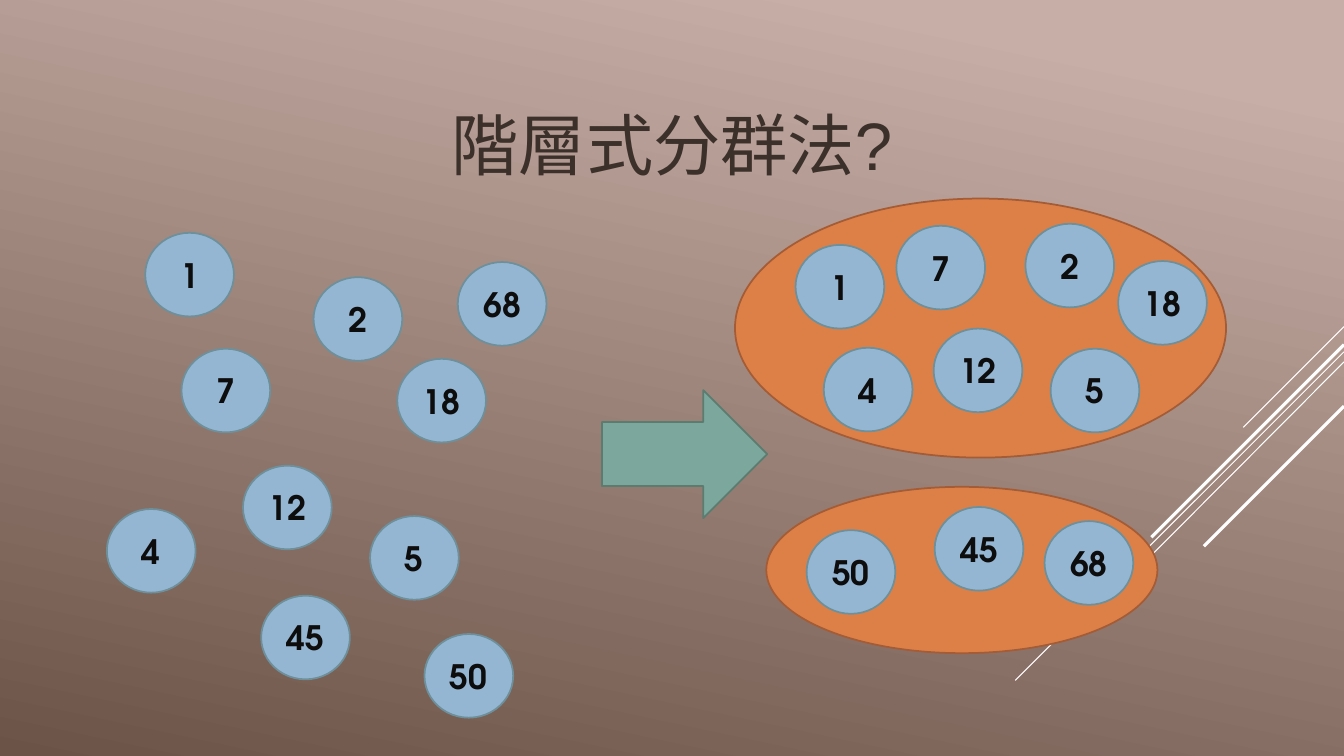
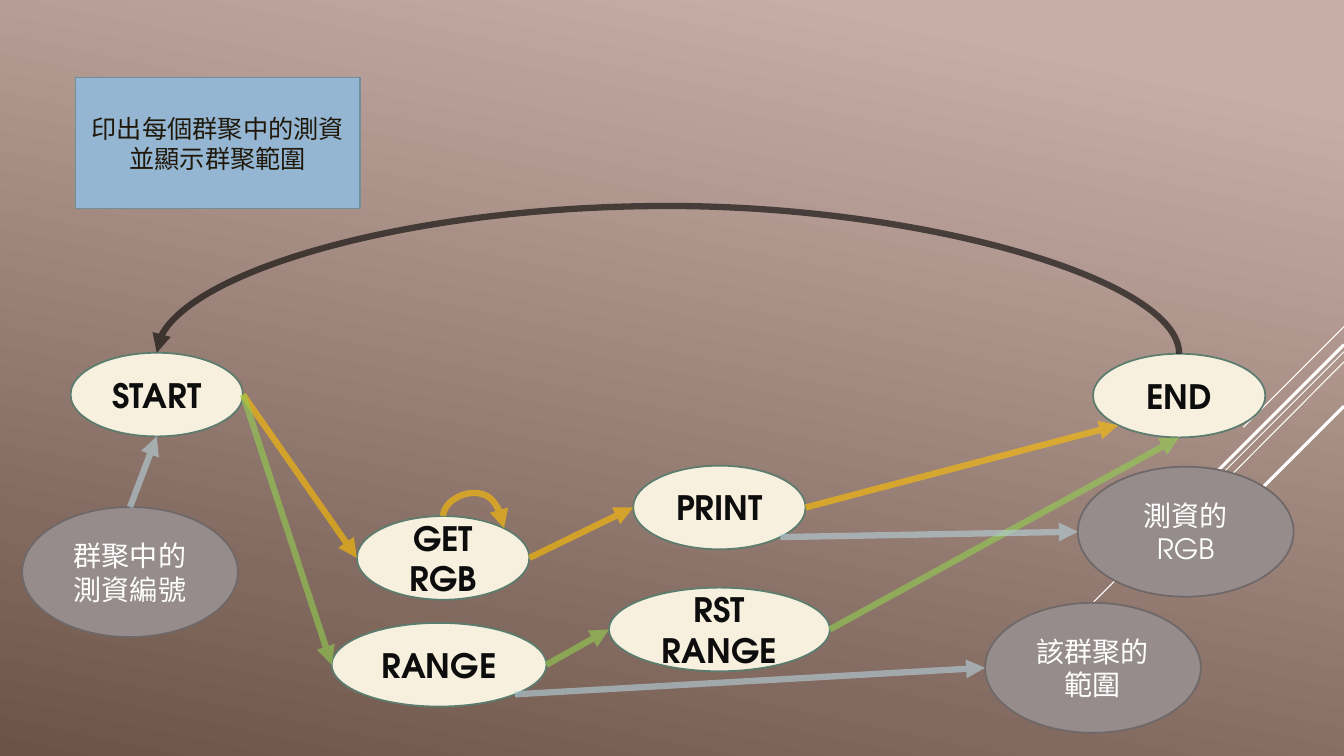
"""Build two slides on hierarchical clustering."""
from dataclasses import dataclass
from math import cos, radians, sin

from lxml import etree
from pptx import Presentation
from pptx.dml.color import RGBColor
from pptx.enum.shapes import MSO_CONNECTOR, MSO_SHAPE
from pptx.enum.text import MSO_ANCHOR, MSO_AUTO_SIZE, PP_ALIGN
from pptx.oxml.ns import qn
from pptx.presentation import Presentation as Deck
from pptx.shapes.autoshape import Shape
from pptx.shapes.connector import Connector
from pptx.slide import Slide
from pptx.util import Inches, Pt

OVAL, RECTANGLE, RIGHT_ARROW = MSO_SHAPE.OVAL, MSO_SHAPE.RECTANGLE, MSO_SHAPE.RIGHT_ARROW
STRAIGHT, CURVE = MSO_CONNECTOR.STRAIGHT, MSO_CONNECTOR.CURVE
CENTER, MIDDLE, NO_AUTOFIT = PP_ALIGN.CENTER, MSO_ANCHOR.MIDDLE, MSO_AUTO_SIZE.NONE

FONT, TITLE_FONT, MARK_FONT = "TeX Gyre Adventor", "DejaVu Sans Mono", "Arial"
WHITE, BLACK, INK, TITLE_INK = "FFFFFF", "000000", "0D0D0D", "3C302A"
BACKGROUND_STOPS = ((0.1, "C7AFA7"), (1.0, "6C5348"))
YELLOW, GREEN, PALE_BLUE = "FFC000", "92D050", "B5D3DE"

Point = tuple[float, float]


@dataclass(frozen=True)
class Style:
    """Look of a shape and its text."""

    fill: str
    line: str
    ink: str = INK
    size: int = 24
    bold: bool = True


@dataclass(frozen=True)
class Node:
    """A shape with its place in inches."""

    text: str
    left: float
    top: float
    width: float
    height: float
    style: Style
    kind: MSO_SHAPE = OVAL

    def rim(self, degrees: float) -> Point:
        """Return the point of the oval at a clockwise angle from its right end."""
        angle = radians(degrees)
        return (self.left + self.width / 2 * (1 + cos(angle)),
                self.top + self.height / 2 * (1 + sin(angle)))


@dataclass(frozen=True)
class Link:
    """An arrow between rim angles of two named nodes."""

    source: str
    source_angle: int
    target: str
    target_angle: int
    colour: str
    rise: float = 0


RIGHT, BOTTOM_RIGHT, BOTTOM, BOTTOM_LEFT, LEFT, TOP, TOP_RIGHT = 0, 45, 90, 135, 180, 270, 315

BALL = Style("94B6D2", "6D909B")
CLUSTER = Style("DD8047", "A35C35")
BLOCK_ARROW = Style("7BA79D", "5B7C6F")
STATE = Style("F7F0DE", "5B7C6F")
NOTE = Style("94B6D2", "6D909B", "20190B", 18, False)
DATA = Style("968C8C", "6F6868", WHITE, 20, False)

BALL_WIDTH, BALL_HEIGHT = 0.88, 0.83
SCATTERED_BALLS = (
    ("1", 1.44, 2.31), ("7", 1.8, 3.46), ("2", 3.11, 2.75), ("12", 2.41, 4.62),
    ("50", 4.21, 6.29), ("4", 1.06, 5.05), ("18", 3.94, 3.56), ("5", 3.67, 5.12),
    ("68", 4.54, 2.6), ("45", 2.59, 5.91),
)
GROUPED_BALLS = (
    ("1", 7.89, 2.43), ("7", 8.89, 2.24), ("2", 10.17, 2.22), ("12", 9.26, 3.26),
    ("4", 8.17, 3.45), ("18", 11.09, 2.59), ("5", 10.42, 3.46), ("50", 8, 5.26),
    ("68", 10.36, 5.17), ("45", 9.27, 5.03),
)
GROUPING = (
    Node("", 5.97, 3.87, 1.64, 1.27, BLOCK_ARROW, RIGHT_ARROW),
    Node("", 7.29, 1.97, 4.87, 2.57, CLUSTER),
    Node("", 7.6, 4.83, 3.88, 1.65, CLUSTER),
)
FLOW_NODES = {
    "start": Node("START", 0.7, 3.5, 1.71, 0.83, STATE),
    "end": Node("END", 10.84, 3.51, 1.71, 0.83, STATE),
    "get": Node("GET\nRGB", 3.54, 5.12, 1.71, 0.83, STATE),
    "print": Node("PRINT", 6.28, 4.62, 1.71, 0.83, STATE),
    "range": Node("RANGE", 3.29, 6.18, 2.13, 0.83, STATE),
    "reset": Node("RST\nRANGE", 6.04, 5.83, 2.19, 0.83, STATE),
    "note": Node("印出每個群聚中的測資\n並顯示群聚範圍", 0.75, 0.77, 2.82, 1.3, NOTE, RECTANGLE),
    "numbers": Node("群聚中的測資編號", 0.22, 5.03, 2.14, 1.29, DATA),
    "colours": Node("測資的RGB", 10.69, 4.63, 2.14, 1.29, DATA),
    "extent": Node("該群聚的範圍", 9.77, 5.98, 2.14, 1.29, DATA),
}
FLOW_LINKS = (
    Link("start", RIGHT, "get", LEFT, YELLOW),
    Link("start", RIGHT, "range", LEFT, GREEN),
    Link("get", RIGHT, "print", LEFT, YELLOW),
    Link("range", RIGHT, "reset", LEFT, GREEN),
    Link("reset", RIGHT, "end", BOTTOM, GREEN),
    Link("print", RIGHT, "end", BOTTOM_LEFT, YELLOW),
    Link("get", TOP, "get", TOP_RIGHT, YELLOW, 0.23),
    Link("end", TOP, "start", TOP, BLACK, 1.49),
    Link("numbers", TOP, "start", BOTTOM, PALE_BLUE),
    Link("print", BOTTOM_RIGHT, "colours", LEFT, PALE_BLUE),
    Link("range", BOTTOM_RIGHT, "extent", LEFT, PALE_BLUE),
)
DECOR_LINES = (
    ((13.33, 3.24), (12.33, 4.24), 0.75),
    ((13.33, 3.49), (10.07, 6.75), 0.75),
    ((13.33, 3.59), (11.26, 5.67), 0.75),
    ((13.33, 3.42), (11.42, 5.33), 2.25),
    ((13.33, 4.03), (11.94, 5.42), 2.25),
)


def rgb(colour: str) -> RGBColor:
    """Turn a hex string into a colour."""
    return RGBColor.from_string(colour)


def add_node(slide: Slide, node: Node) -> Shape:
    """Draw a filled shape with centred text."""
    style = node.style
    shape = slide.shapes.add_shape(node.kind, Inches(node.left), Inches(node.top),
                                   Inches(node.width), Inches(node.height))
    shape.shadow.inherit = False
    shape.fill.solid()
    shape.fill.fore_color.rgb = rgb(style.fill)
    shape.line.color.rgb = rgb(style.line)
    shape.line.width = Pt(1.25)
    if node.text:
        frame = shape.text_frame
        frame.text = node.text
        frame.word_wrap = True
        frame.vertical_anchor = MIDDLE
        for para in frame.paragraphs:
            para.alignment = CENTER
            para.font.name = FONT
            para.font.size = Pt(style.size)
            para.font.bold = style.bold
            para.font.color.rgb = rgb(style.ink)
    return shape


def add_line(slide: Slide, start: Point, end: Point, colour: str, weight: float,
             kind: MSO_CONNECTOR = STRAIGHT) -> Connector:
    """Draw a connector without a shadow."""
    line = slide.shapes.add_connector(kind, *(Inches(value) for value in (*start, *end)))
    line.line.color.rgb = rgb(colour)
    line.line.width = Pt(weight)
    etree.SubElement(line.element.spPr, qn("a:effectLst"))
    return line


def add_curve(slide: Slide, start: Point, end: Point, rise: float, colour: str) -> Connector:
    """Draw an arch that climbs by rise above its start before it turns to its end."""
    across, down = end[0] - start[0], end[1] - start[1]
    middle_x, middle_y = (start[0] + end[0]) / 2, (start[1] + end[1]) / 2
    half_width, half_height = abs(down) / 2, abs(across) / 2
    line = add_line(slide, (middle_x - half_width, middle_y - half_height),
                    (middle_x + half_width, middle_y + half_height), colour, 4.5, CURVE)
    line.rotation = 270
    frame = line.element.spPr.find(qn("a:xfrm"))
    if down > 0:
        frame.set("flipH", "1")
    if across < 0:
        frame.set("flipV", "1")
    adjustments = line.element.spPr.find(qn("a:prstGeom")).find(qn("a:avLst"))
    guide = etree.SubElement(adjustments, qn("a:gd"))
    guide.set("name", "adj1")
    guide.set("fmla", f"val {round(-rise / down * 100000)}")
    return line


def add_link(slide: Slide, link: Link) -> None:
    """Draw a translucent arrow between two nodes."""
    start = FLOW_NODES[link.source].rim(link.source_angle)
    end = FLOW_NODES[link.target].rim(link.target_angle)
    if link.rise:
        arrow = add_curve(slide, start, end, link.rise, link.colour)
    else:
        arrow = add_line(slide, start, end, link.colour, 4.5)
    outline = arrow.element.spPr.find(qn("a:ln"))
    colour = outline.find(qn("a:solidFill")).find(qn("a:srgbClr"))
    etree.SubElement(colour, qn("a:alpha")).set("val", "60000")
    etree.SubElement(outline, qn("a:tailEnd")).set("type", "triangle")


def style_master(deck: Deck, slide: Slide) -> None:
    """Give the master its gradient and its slanted lines, drawn by way of a slide."""
    master = deck.slide_master
    fill = master.background.fill
    fill.gradient()
    fill.gradient_angle = 258
    for stop, (position, colour) in zip(fill.gradient_stops, BACKGROUND_STOPS):
        stop.position = position
        stop.color.rgb = rgb(colour)
    for number, (start, end, weight) in enumerate(DECOR_LINES, 101):
        line = add_line(slide, start, end, WHITE, weight)
        line.element.xpath("./p:nvCxnSpPr/p:cNvPr")[0].set("id", str(number))
        master.shapes.element.append(line.element)


def set_title(slide: Slide, spans: tuple[tuple[str, str], ...]) -> None:
    """Place the title and fill it with spans of text and font."""
    title = slide.shapes.title
    title.left, title.top = Inches(2), Inches(0.84)
    title.width, title.height = Inches(9.33), Inches(1.17)
    frame = title.text_frame
    frame.auto_size = NO_AUTOFIT
    frame.vertical_anchor = MIDDLE
    para = frame.paragraphs[0]
    para.alignment = CENTER
    para.space_before, para.space_after = Pt(9.6), Pt(6)
    para.font.size = Pt(48)
    para.font.color.rgb = rgb(TITLE_INK)
    for text, font in spans:
        span = para.add_run()
        span.text = text
        span.font.name = font


def add_balls(slide: Slide, balls: tuple[tuple[str, float, float], ...]) -> None:
    """Draw numbered balls of one size."""
    for text, left, top in balls:
        add_node(slide, Node(text, left, top, BALL_WIDTH, BALL_HEIGHT, BALL))


def fill_clustering(slide: Slide) -> None:
    """Show scattered numbers gathered into two clusters."""
    set_title(slide, (("階層式分群法", TITLE_FONT), ("?", MARK_FONT)))
    add_balls(slide, SCATTERED_BALLS)
    for node in GROUPING:
        add_node(slide, node)
    add_balls(slide, GROUPED_BALLS)


def fill_flow(slide: Slide) -> None:
    """Show the states that print each cluster and its range."""
    for node in FLOW_NODES.values():
        add_node(slide, node)
    for link in FLOW_LINKS:
        add_link(slide, link)


def main() -> None:
    """Build and save the deck."""
    deck = Presentation()
    deck.slide_width, deck.slide_height = Inches(13.33), Inches(7.5)
    title_only, blank = deck.slide_layouts[5], deck.slide_layouts[6]
    clustering = deck.slides.add_slide(title_only)
    style_master(deck, clustering)
    fill_clustering(clustering)
    fill_flow(deck.slides.add_slide(blank))
    deck.save("out.pptx")


if __name__ == "__main__":
    main()
